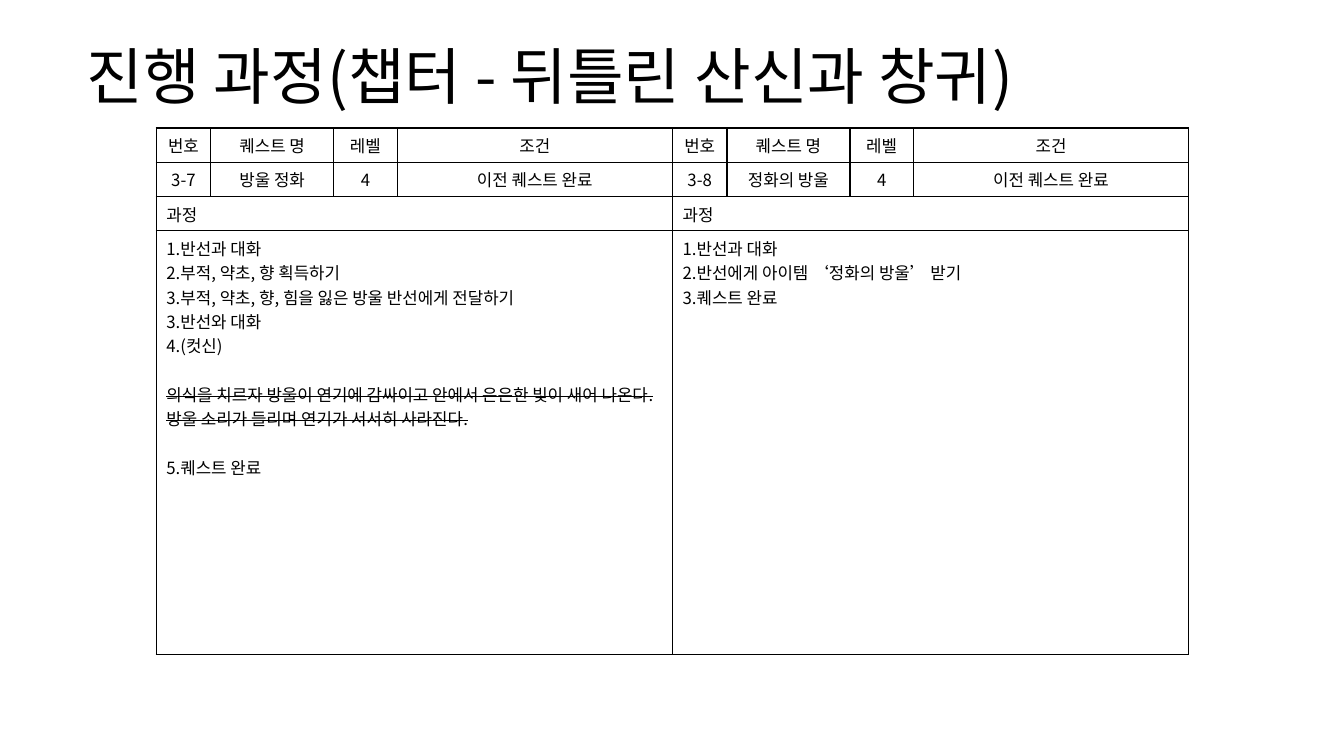
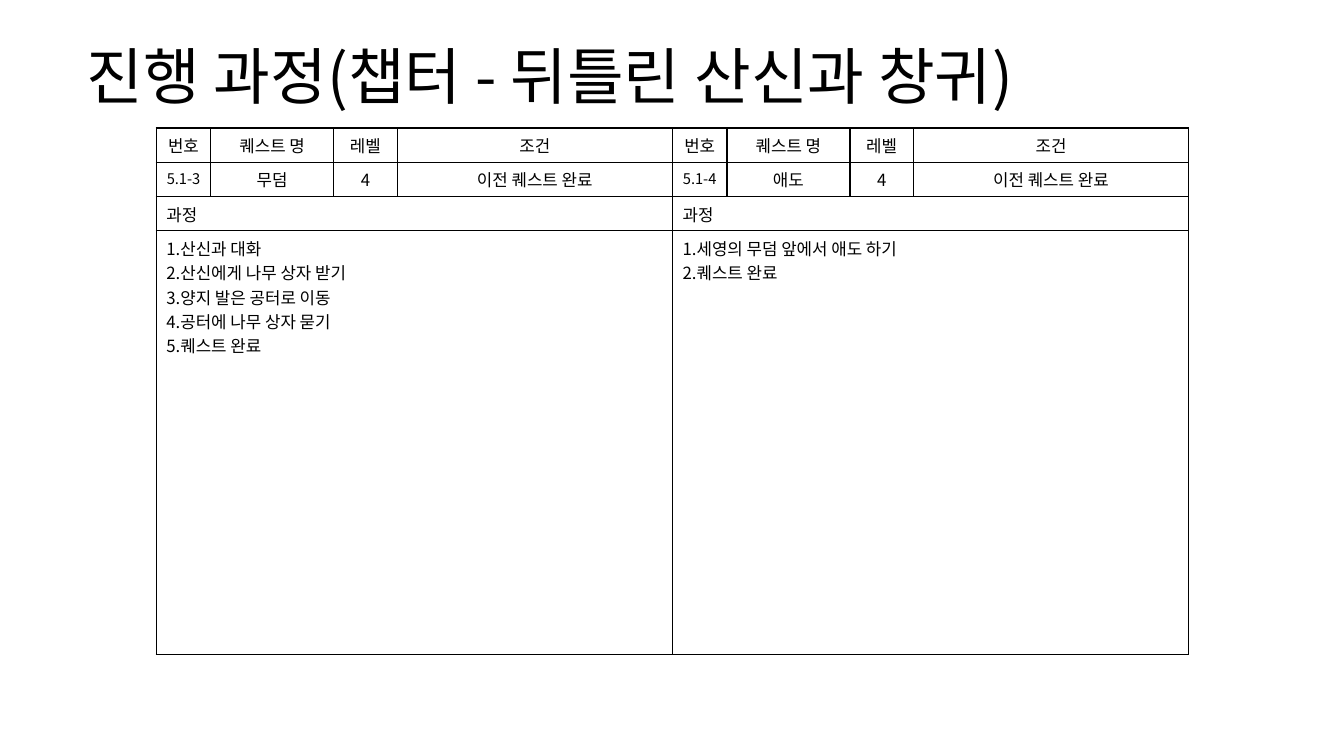
from lxml.etree import SubElement
from pptx import Presentation
from pptx.dml.color import RGBColor
from pptx.enum.text import MSO_ANCHOR as Anchor, PP_ALIGN as Align
from pptx.oxml.ns import qn
from pptx.util import Inches, Pt

COLORS = {"ink": "000000", "paper": "FFFFFF"}
FONT = "Noto Sans CJK KR"
TITLE = "진행 과정(챕터 - 뒤틀린 산신과 창귀)"
HEADINGS = ["번호", "퀘스트 명", "레벨", "조건"]
COLUMN_WIDTHS = [0.54, 1.22, 0.63, 2.73]
ROW_HEIGHTS = [0.34, 0.34, 0.34, 4.2]
BODY_SIZE = 12
LONG_NUMBER_SIZE = 10.5
SECTION_GAP = 17.4
PANEL_LEFT, PANEL_TOP = 1.55, 1.27

CHAPTER_PAGES = [
    [
        {
            "facts": ["3-7", "방울 정화", "4", "이전 퀘스트 완료"],
            "steps": [
                "1.반선과 대화",
                "2.부적, 약초, 향 획득하기",
                "3.부적, 약초, 향, 힘을 잃은 방울 반선에게 전달하기",
                "3.반선와 대화",
                "4.(컷신)",
                "의식을 치르자 방울이 연기에 감싸이고 안에서 은은한 빛이 새어 나온다. "
                "방울 소리가 들리며 연기가 서서히 사라진다.",
                "5.퀘스트 완료",
            ],
            "struck": {5},
            "gap_before": {5, 6},
        },
        {
            "facts": ["3-8", "정화의 방울", "4", "이전 퀘스트 완료"],
            "steps": [
                "1.반선과 대화",
                "2.반선에게 아이템 ‘정화의 방울’ 받기",
                "3.퀘스트 완료",
            ],
        },
    ],
    [
        {
            "facts": ["5.1-3", "무덤", "4", "이전 퀘스트 완료"],
            "steps": [
                "1.산신과 대화",
                "2.산신에게 나무 상자 받기",
                "3.양지 발은 공터로 이동",
                "4.공터에 나무 상자 묻기",
                "5.퀘스트 완료",
            ],
        },
        {
            "facts": ["5.1-4", "애도", "4", "이전 퀘스트 완료"],
            "steps": ["1.세영의 무덤 앞에서 애도 하기", "2.퀘스트 완료"],
        },
    ],
]


def add_run(paragraph, text, size, struck=False):
    run = paragraph.add_run()
    run.text = text
    run.font.size = Pt(size)
    run.font.name = FONT
    run.font.color.rgb = RGBColor.from_string(COLORS["ink"])
    properties = run.font._element
    SubElement(properties, qn("a:ea")).set("typeface", FONT)
    if struck:
        properties.set("strike", "sngStrike")


def frame_cell(cell):
    properties = cell._tc.get_or_add_tcPr()
    for side in ("lnL", "lnR", "lnT", "lnB"):
        border = SubElement(properties, qn(f"a:{side}"), w=str(Pt(1)))
        ink = SubElement(border, qn("a:solidFill"))
        SubElement(ink, qn("a:srgbClr"), val=COLORS["ink"])
    cell.fill.background()


def add_title(slide, left, top, width, height):
    title = slide.shapes.add_textbox(
        Inches(left), Inches(top), Inches(width), Inches(height)
    )
    frame = title.text_frame
    frame.word_wrap = True
    frame.vertical_anchor = Anchor.MIDDLE
    frame.paragraphs[0].line_spacing = 0.9
    add_run(frame.paragraphs[0], TITLE, 44)


def add_steps(cell, quest):
    frame = cell.text_frame
    for index, step in enumerate(quest["steps"]):
        paragraph = frame.add_paragraph() if index else frame.paragraphs[0]
        if index in quest.get("gap_before", ()):
            paragraph.space_before = Pt(SECTION_GAP)
        add_run(paragraph, step, BODY_SIZE, index in quest.get("struck", ()))


def add_quest_panel(slide, left, top, quest):
    table = slide.shapes.add_table(
        len(ROW_HEIGHTS), len(COLUMN_WIDTHS), Inches(left), Inches(top),
        Inches(sum(COLUMN_WIDTHS)), Inches(sum(ROW_HEIGHTS)),
    ).table
    table.first_row = False
    table.horz_banding = False
    for column, width in zip(table.columns, COLUMN_WIDTHS):
        column.width = Inches(width)
    for row, height in zip(table.rows, ROW_HEIGHTS):
        row.height = Inches(height)
    for cell in table.iter_cells():
        frame_cell(cell)

    for row_index, texts in enumerate([HEADINGS, quest["facts"]]):
        for column_index, text in enumerate(texts):
            paragraph = table.cell(row_index, column_index).text_frame.paragraphs[0]
            paragraph.alignment = Align.CENTER
            is_long_number = column_index == 0 and len(text) > 3
            add_run(paragraph, text, LONG_NUMBER_SIZE if is_long_number else BODY_SIZE)

    last_column = len(COLUMN_WIDTHS) - 1
    for row_index in (2, 3):
        table.cell(row_index, 0).merge(table.cell(row_index, last_column))
    add_run(table.cell(2, 0).text_frame.paragraphs[0], "과정", BODY_SIZE)
    add_steps(table.cell(3, 0), quest)


def add_chapter_slide(deck, quests):
    slide = deck.slides.add_slide(deck.slide_layouts[6])
    background = slide.background.fill
    background.solid()
    background.fore_color.rgb = RGBColor.from_string(COLORS["paper"])
    add_title(slide, 0.76, 0.32, 11.81, 0.94)
    for index, quest in enumerate(quests):
        left = PANEL_LEFT + index * sum(COLUMN_WIDTHS)
        add_quest_panel(slide, left, PANEL_TOP, quest)


def main():
    deck = Presentation()
    deck.slide_width = Inches(13.33)
    deck.slide_height = Inches(7.5)
    for quests in CHAPTER_PAGES:
        add_chapter_slide(deck, quests)
    deck.save("out.pptx")


if __name__ == "__main__":
    main()
